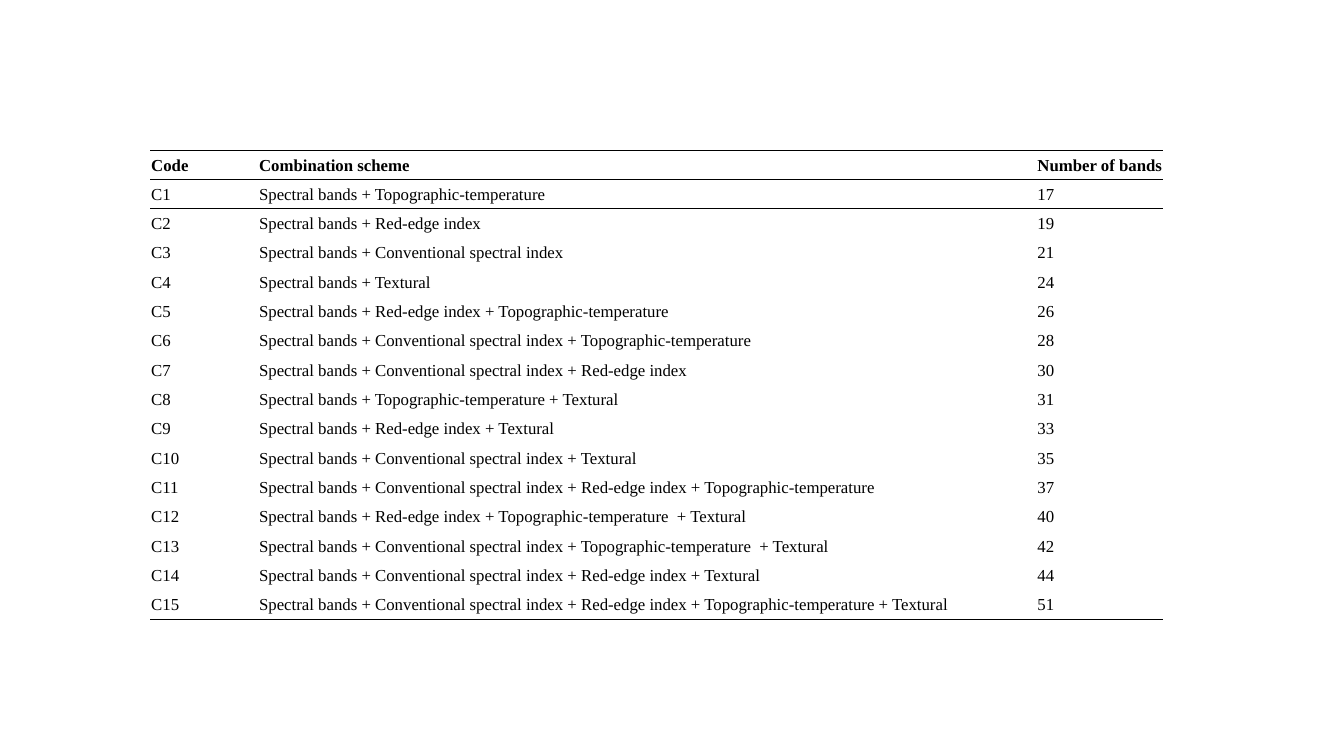
import lxml.etree
import pptx
import pptx.dml.color
import pptx.enum.text
import pptx.oxml.ns
import pptx.util
from pptx.util import Inches

COLORS = {"ink": "000000"}
FONT = "Times New Roman"
NO_STYLE_NO_GRID = "{2D5ABB26-0587-4C30-8999-92F81FD0307C}"
COLUMN_WIDTHS = (1.07, 7.72, 1.26)

HEADER = ("Code", "Combination scheme", "Number of bands")
SCHEMES = [
    ("Topographic-temperature", 17),
    ("Red-edge index", 19),
    ("Conventional spectral index", 21),
    ("Textural", 24),
    ("Red-edge index + Topographic-temperature", 26),
    ("Conventional spectral index + Topographic-temperature", 28),
    ("Conventional spectral index + Red-edge index", 30),
    ("Topographic-temperature + Textural", 31),
    ("Red-edge index + Textural", 33),
    ("Conventional spectral index + Textural", 35),
    ("Conventional spectral index + Red-edge index + Topographic-temperature", 37),
    ("Red-edge index + Topographic-temperature  + Textural", 40),
    ("Conventional spectral index + Topographic-temperature  + Textural", 42),
    ("Conventional spectral index + Red-edge index + Textural", 44),
    ("Conventional spectral index + Red-edge index + Topographic-temperature + Textural", 51),
]
rows = [HEADER] + [
    (f"C{number}", f"Spectral bands + {scheme}", str(bands))
    for number, (scheme, bands) in enumerate(SCHEMES, start=1)
]
last_row = len(rows) - 1


def add_rule(cell, tag):
    """Draw a 1 pt line on the cell edge named by tag (a:lnT or a:lnB)."""
    qn = pptx.oxml.ns.qn
    line = lxml.etree.SubElement(
        cell._tc.get_or_add_tcPr(), qn(tag), w=str(pptx.util.Pt(1)), cmpd="sng"
    )
    fill = lxml.etree.SubElement(line, qn("a:solidFill"))
    lxml.etree.SubElement(fill, qn("a:srgbClr"), val=COLORS["ink"])


deck = pptx.Presentation()
deck.slide_width = Inches(13.33)
deck.slide_height = Inches(7.5)
page = deck.slides.add_slide(deck.slide_layouts[6])

frame = page.shapes.add_table(
    len(rows), len(HEADER), Inches(1.49), Inches(1.49), Inches(10.05), Inches(4.66)
)
table = frame.table
table.first_row = False
table.horz_banding = False
table._tbl.tblPr.find(pptx.oxml.ns.qn("a:tableStyleId")).text = NO_STYLE_NO_GRID
for column, width in zip(table.columns, COLUMN_WIDTHS):
    column.width = Inches(width)

for row_index, row in enumerate(rows):
    for column_index, text in enumerate(row):
        cell = table.cell(row_index, column_index)
        cell.margin_left = cell.margin_right = cell.margin_top = Inches(0.01)
        cell.margin_bottom = 0
        cell.vertical_anchor = pptx.enum.text.MSO_ANCHOR.MIDDLE
        if row_index in (0, 1):
            add_rule(cell, "a:lnT")
        if row_index in (0, last_row):
            add_rule(cell, "a:lnB")
        cell.fill.background()

        cell.text_frame.text = text
        font = cell.text_frame.paragraphs[0].runs[0].font
        font.name = FONT
        font.size = pptx.util.Pt(12)
        font.bold = row_index == 0
        font.color.rgb = pptx.dml.color.RGBColor.from_string(COLORS["ink"])

deck.save("out.pptx")
